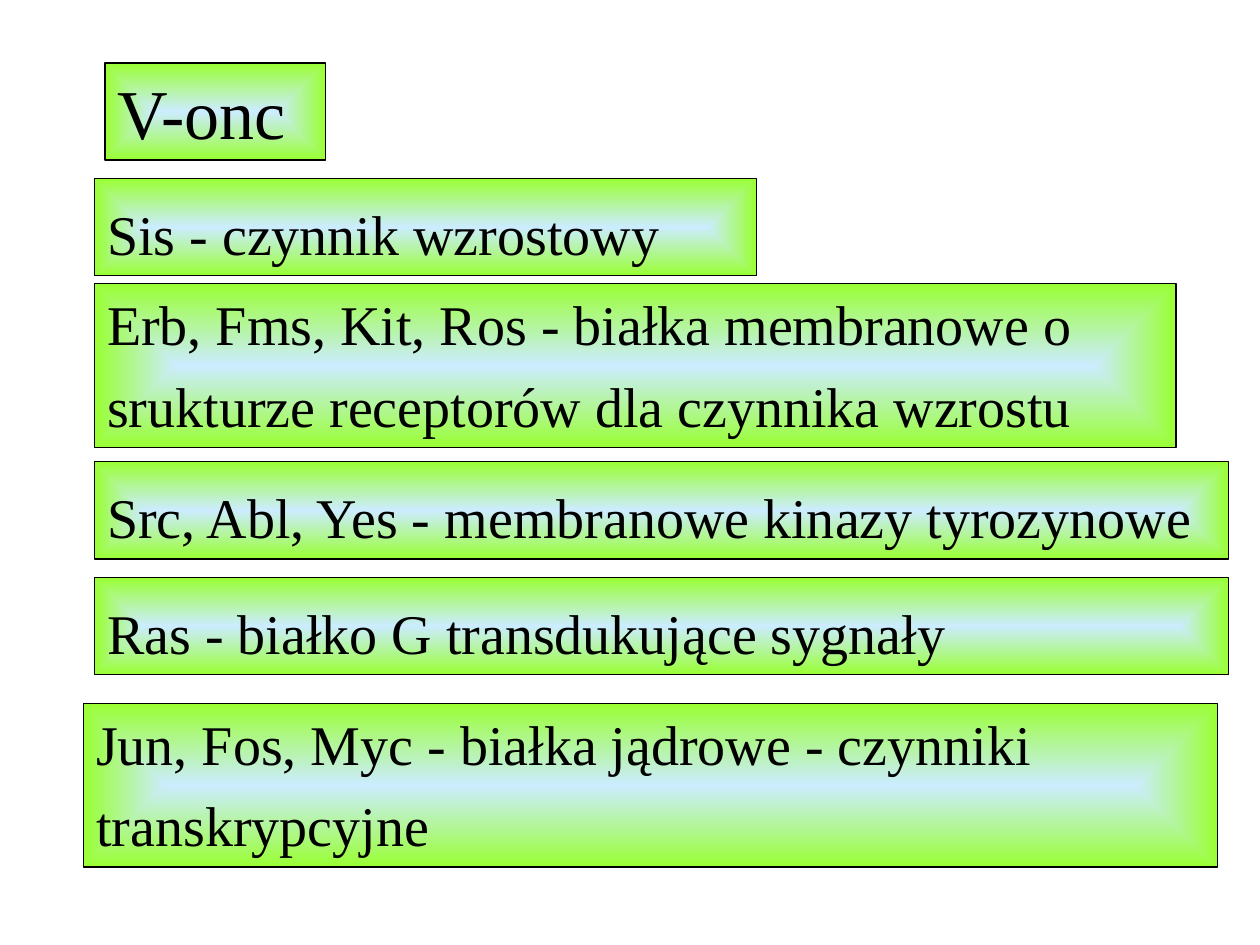
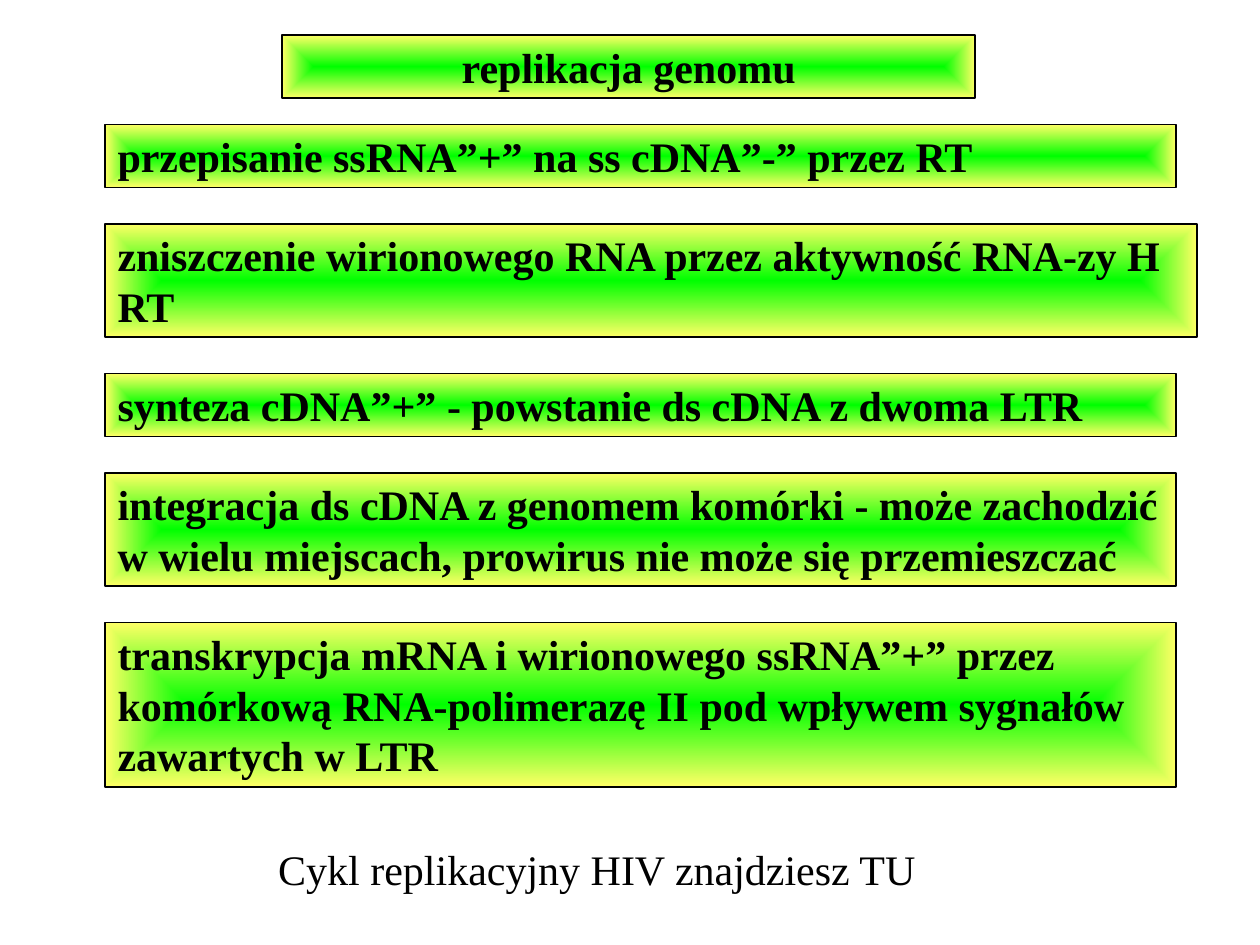
from dataclasses import dataclass

from pptx import Presentation
from pptx.dml.color import RGBColor
from pptx.enum.shapes import MSO_SHAPE
from pptx.enum.text import MSO_ANCHOR, PP_ALIGN
from pptx.oxml import parse_xml
from pptx.oxml.ns import nsdecls, qn
from pptx.util import Cm, Pt

RECTANGLE = MSO_SHAPE.RECTANGLE
TOP, BOTTOM = MSO_ANCHOR.TOP, MSO_ANCHOR.BOTTOM
LEFT, CENTER = PP_ALIGN.LEFT, PP_ALIGN.CENTER


@dataclass(frozen=True)
class BoxStyle:
    center: RGBColor
    edge: RGBColor
    size: int
    line_width: float
    bold: bool = False
    anchor: MSO_ANCHOR = TOP
    bottom_inset: float = 0.13
    line_spacing: float = 1.0


@dataclass(frozen=True)
class Theme:
    font: str
    text: RGBColor
    note_size: int
    gene_title: BoxStyle
    gene: BoxStyle
    step: BoxStyle


@dataclass(frozen=True)
class Box:
    text: str
    left: float
    top: float
    width: float
    height: float
    alignment: PP_ALIGN = LEFT


@dataclass(frozen=True)
class Step:
    text: str
    lines: int
    width: float = 21.59


SKY, LIME = RGBColor(0xCC, 0xEC, 0xFF), RGBColor(0x99, 0xFF, 0x33)
GREEN, YELLOW = RGBColor(0x00, 0xFF, 0x00), RGBColor(0xFF, 0xFF, 0x66)
THEME = Theme(
    font="Times New Roman",
    text=RGBColor(0, 0, 0),
    note_size=24,
    gene_title=BoxStyle(SKY, LIME, 40, 0.75),
    gene=BoxStyle(SKY, LIME, 32, 0.75, anchor=BOTTOM, bottom_inset=0.18, line_spacing=1.21),
    step=BoxStyle(GREEN, YELLOW, 24, 1, bold=True),
)

ONE_LINE, TWO_LINES = 1.96, 3.3
GENE_LEFT, GENE_WIDTH = 1.91, 22.86
GENE_TITLE = Box("V-onc", 2.12, 1.27, 4.45, ONE_LINE)
GENES = [
    Box("Sis - czynnik wzrostowy", GENE_LEFT, 3.6, 13.34, ONE_LINE),
    Box("Erb, Fms, Kit, Ros - białka membranowe o srukturze receptorów dla czynnika wzrostu",
        GENE_LEFT, 5.72, 21.8, TWO_LINES),
    Box("Src, Abl, Yes - membranowe kinazy tyrozynowe",
        GENE_LEFT, 9.31, GENE_WIDTH, ONE_LINE),
    Box("Ras - białko G transdukujące sygnały", GENE_LEFT, 11.64, GENE_WIDTH, ONE_LINE),
    Box("Jun, Fos, Myc - białka jądrowe - czynniki transkrypcyjne",
        1.69, 14.18, GENE_WIDTH, TWO_LINES),
]

STEP_LEFT, FIRST_STEP_TOP, STEP_GAP = 2.12, 2.51, 0.73
STEP_LINE, STEP_PADDING = 1.02, 0.25
STEP_TITLE = Box("replikacja genomu", 5.69, 0.71, 13.97, STEP_LINE + STEP_PADDING, CENTER)
STEPS = [
    Step("przepisanie ssRNA”+” na ss cDNA”-” przez RT", 1),
    Step("zniszczenie wirionowego RNA przez aktywność RNA-zy H RT", 2, 22.01),
    Step("synteza cDNA”+” - powstanie ds cDNA z dwoma LTR", 1),
    Step("integracja ds cDNA z genomem komórki - może zachodzić w wielu miejscach, "
         "prowirus nie może się przemieszczać", 2),
    Step("transkrypcja mRNA i wirionowego ssRNA”+” przez komórkową RNA-polimerazę II "
         "pod wpływem sygnałów zawartych w LTR", 3),
]
NOTE = Box("Cykl replikacyjny HIV znajdziesz TU", 5.36, 16.87, 13.49, 1.27)


def frame(box: Box) -> tuple:
    return Cm(box.left), Cm(box.top), Cm(box.width), Cm(box.height)


def write_text(shape, box: Box, size: int, bold: bool = False):
    text_frame = shape.text_frame
    text_frame.word_wrap = True
    text_frame.vertical_anchor = TOP
    paragraph = text_frame.paragraphs[0]
    paragraph.text = box.text
    paragraph.alignment = box.alignment
    paragraph.font.name = THEME.font
    paragraph.font.size = Pt(size)
    paragraph.font.bold = bold
    paragraph.font.color.rgb = THEME.text
    return text_frame


def fill_from_center(shape, style: BoxStyle) -> None:
    shape.fill.gradient()
    for stop, color in zip(shape.fill.gradient_stops, (style.center, style.edge)):
        stop.color.rgb = color
    gradient = shape._element.spPr.find(qn("a:gradFill"))
    gradient.replace(gradient.find(qn("a:lin")), parse_xml(
        f'<a:path {nsdecls("a")} path="rect">'
        '<a:fillToRect l="50000" t="50000" r="50000" b="50000"/></a:path>'))


def add_box(slide, box: Box, style: BoxStyle) -> None:
    shape = slide.shapes.add_shape(RECTANGLE, *frame(box))
    shape.shadow.inherit = False
    fill_from_center(shape, style)
    shape.line.color.rgb = THEME.text
    shape.line.width = Pt(style.line_width)
    text_frame = write_text(shape, box, style.size, style.bold)
    text_frame.vertical_anchor = style.anchor
    text_frame.margin_bottom = Cm(style.bottom_inset)
    text_frame.paragraphs[0].line_spacing = style.line_spacing


def add_gene_slide(presentation, layout) -> None:
    slide = presentation.slides.add_slide(layout)
    add_box(slide, GENE_TITLE, THEME.gene_title)
    for gene in GENES:
        add_box(slide, gene, THEME.gene)


def add_replication_slide(presentation, layout) -> None:
    slide = presentation.slides.add_slide(layout)
    add_box(slide, STEP_TITLE, THEME.step)
    top = FIRST_STEP_TOP
    for step in STEPS:
        height = step.lines * STEP_LINE + STEP_PADDING
        add_box(slide, Box(step.text, STEP_LEFT, top, step.width, height), THEME.step)
        top += height + STEP_GAP
    write_text(slide.shapes.add_textbox(*frame(NOTE)), NOTE, THEME.note_size)


def main() -> None:
    presentation = Presentation()
    presentation.slide_width, presentation.slide_height = Cm(25.4), Cm(19.05)
    blank_layout = presentation.slide_layouts[6]
    add_gene_slide(presentation, blank_layout)
    add_replication_slide(presentation, blank_layout)
    presentation.save("out.pptx")


if __name__ == "__main__":
    main()
